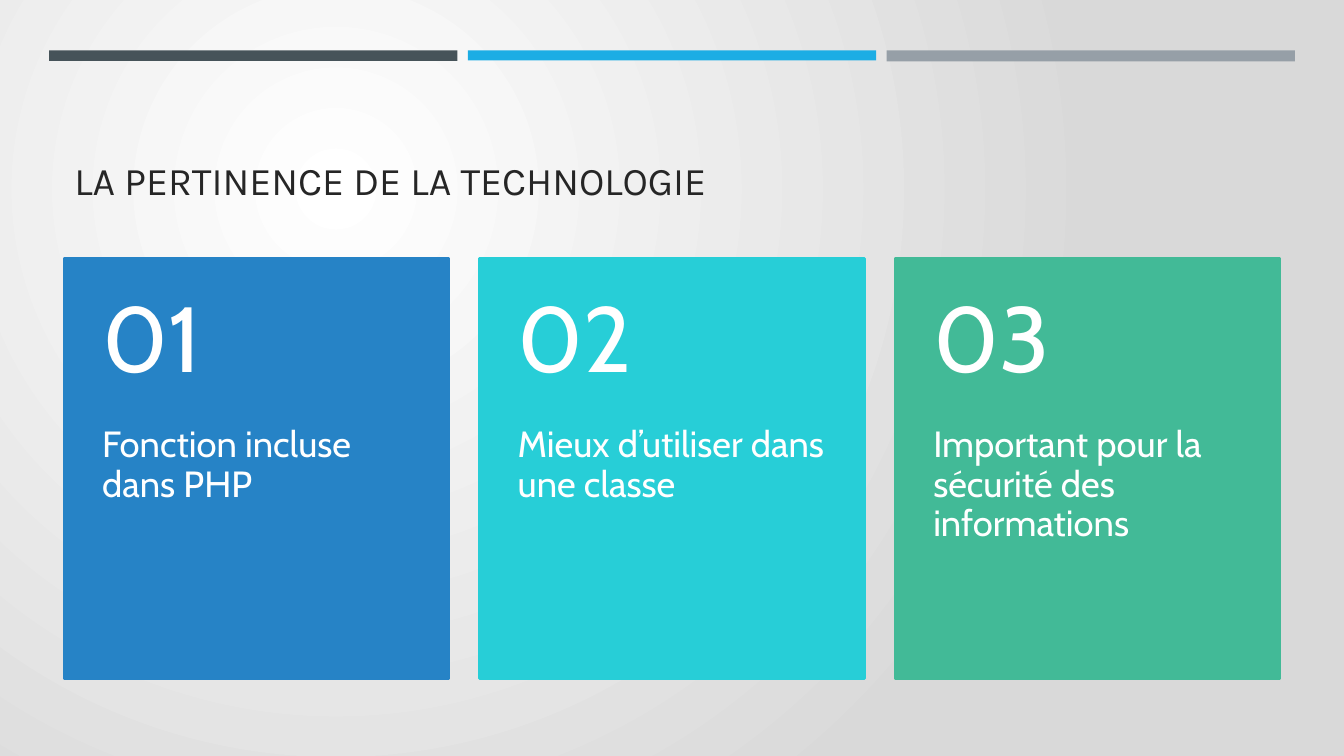
import pptx
import pptx.dml.color
import pptx.enum.shapes
import pptx.enum.text
import pptx.oxml
import pptx.oxml.ns
import pptx.util

Pt = pptx.util.Pt
ANCHOR = pptx.enum.text.MSO_ANCHOR

COLORS = {
    "white": "FFFFFF", "edge": "D9D9D9", "ink": "262626",
    "slate": "465359", "sky": "1CADE4", "gray": "969FA7",
    "blue": "2683C6", "cyan": "27CED7", "green": "42BA97",
}


def rgb(name):
    return pptx.dml.color.RGBColor.from_string(COLORS[name])


class Slide:
    formats = {
        "title": {"name": "Karla", "size": Pt(28), "color": "ink"},
        "number": {"name": "Cabin", "size": Pt(66), "color": "white"},
        "body": {"name": "Cabin", "size": Pt(26), "color": "white"},
    }

    def __init__(self, page):
        self.page = page

    def radial_background(self, inner, outer):
        fill = self.page.background.fill
        fill.gradient()
        for stop, color, position in zip(fill.gradient_stops, (inner, outer), (0, 1)):
            stop.color.rgb = rgb(color)
            stop.position = position
        # Swap the linear direction for a circle
        linear = self.page.element.find(".//" + pptx.oxml.ns.qn("a:lin"))
        circle = pptx.oxml.parse_xml(
            f'<a:path {pptx.oxml.ns.nsdecls("a")} path="circle">'
            '<a:fillToRect l="50000" t="50000" r="100000" b="100000"/></a:path>')
        linear.getparent().replace(linear, circle)

    def rectangle(self, left, top, width, height, color, outline=None):
        box = self.page.shapes.add_shape(
            pptx.enum.shapes.MSO_SHAPE.RECTANGLE, Pt(left), Pt(top), Pt(width), Pt(height))
        box.shadow.inherit = False
        box.fill.solid()
        box.fill.fore_color.rgb = rgb(color)
        if outline:
            box.line.color.rgb = rgb(color)
            box.line.width = Pt(outline)
        else:
            box.line.fill.background()

    def text(self, left, top, width, height, words, style, anchor,
             insets=(7.2, 3.6, 7.2, 3.6), spacing=1.0):
        box = self.page.shapes.add_textbox(Pt(left), Pt(top), Pt(width), Pt(height))
        frame = box.text_frame
        frame.word_wrap = True
        frame.vertical_anchor = anchor
        for side, inset in zip(("left", "top", "right", "bottom"), insets):
            setattr(frame, f"margin_{side}", Pt(inset))
        para = frame.paragraphs[0]
        para.line_spacing = spacing
        span = para.add_run()
        span.text = words
        for key, value in self.formats[style].items():
            if key == "color":
                span.font.color.rgb = rgb(value)
            else:
                setattr(span.font, key, value)


def main():
    deck = pptx.Presentation()
    deck.slide_width, deck.slide_height = Pt(960), Pt(540)
    slide = Slide(deck.slides.add_slide(deck.slide_layouts[6]))
    slide.radial_background("white", "edge")

    # Bars across the top
    bars = [("slate", 7.5), ("sky", 7.2), ("gray", 7.9)]
    for index, (color, height) in enumerate(bars):
        slide.rectangle(35.1 + 299.1 * index, 36, 291.6, height, color)

    # Title
    slide.text(46, 55.4, 868.3, 93.6, "LA PERTINENCE DE LA TECHNOLOGIE",
               "title", ANCHOR.BOTTOM)

    # Numbered cards
    cards = [
        ("blue", "Fonction incluse dans PHP"),
        ("cyan", "Mieux d’utiliser dans une classe"),
        ("green", "Important pour la sécurité des informations"),
    ]
    top, width, height, number_height = 184.5, 275, 300.3, 120.1
    for index, (color, words) in enumerate(cards):
        left = 45.8 + 296.8 * index
        slide.rectangle(left, top, width, height, color, outline=1.75)
        slide.text(left, top + number_height, width, height - number_height, words,
                   "body", ANCHOR.TOP, (27.2, 0, 27.2, 26), 0.9)
        slide.text(left, top, width, number_height, f"{index + 1:02d}",
                   "number", ANCHOR.MIDDLE, (27.2, 13, 27.2, 13), 0.9)

    deck.save("out.pptx")


if __name__ == "__main__":
    main()
